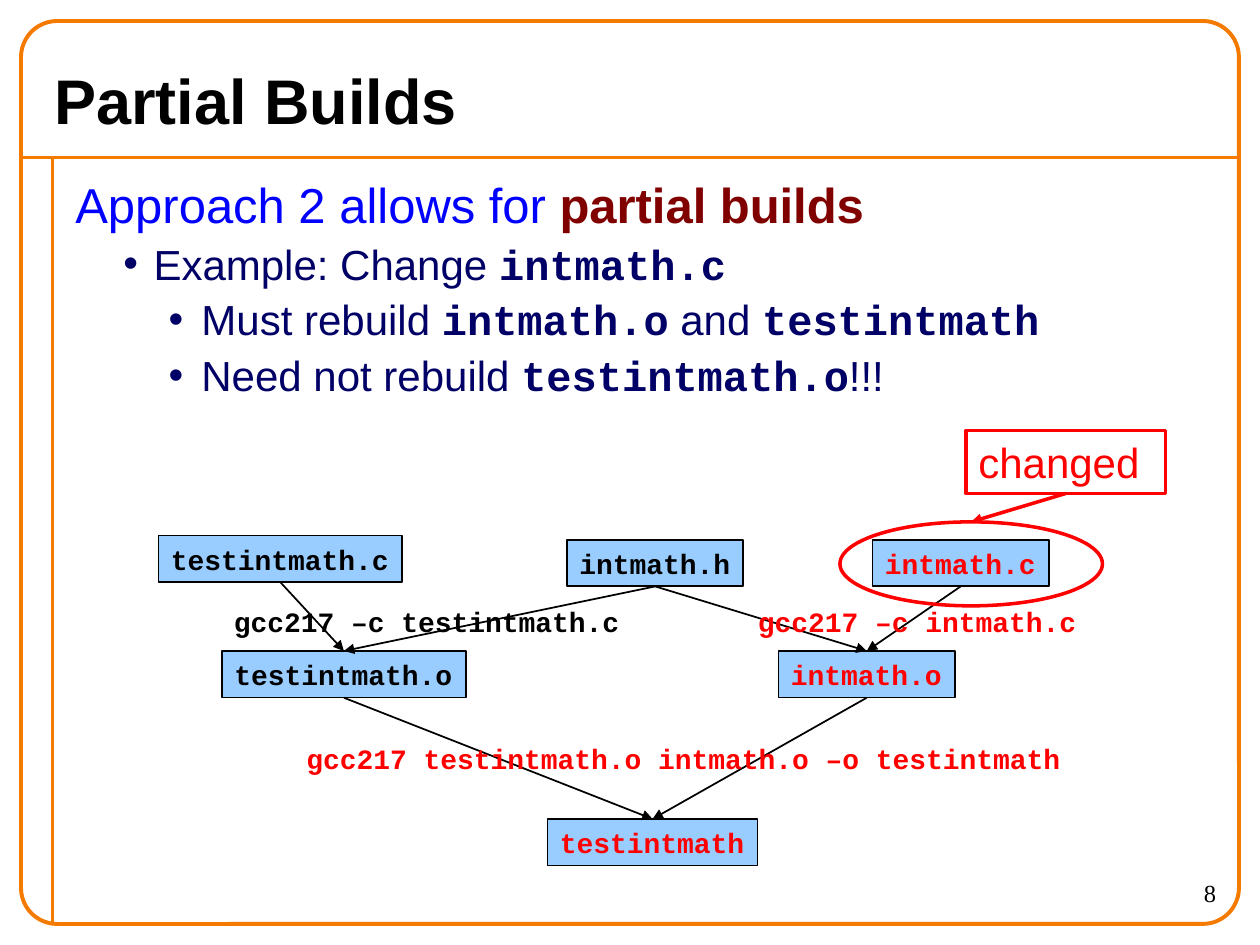
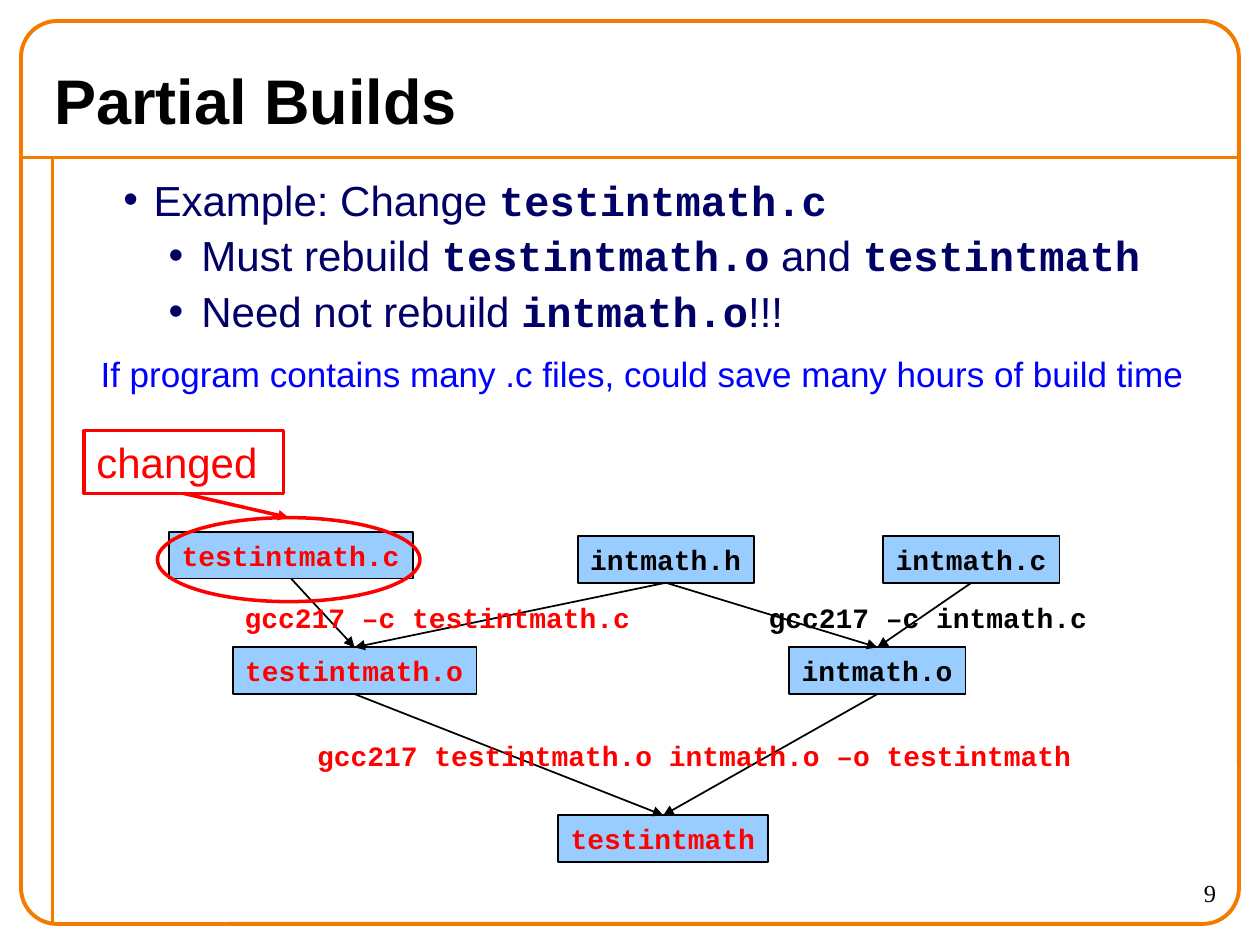
from dataclasses import dataclass, field

import pptx
import pptx.dml.color
import pptx.enum.shapes
import pptx.enum.text
import pptx.oxml
import pptx.oxml.ns
import pptx.util
from lxml import etree

COLUMNS, ROWS = 120, 90
SLIDE_WIDTH, SLIDE_HEIGHT = pptx.util.Inches(10), pptx.util.Inches(7.5)
SHAPES = pptx.enum.shapes.MSO_SHAPE
ALIGN = pptx.enum.text.PP_ALIGN


@dataclass(frozen=True)
class Theme:
    black: str = "000000"
    frame: str = "F47A00"
    blue: str = "0000FF"
    navy: str = "000066"
    maroon: str = "800000"
    red: str = "FF0000"
    node_fill: str = "99CCFF"
    sans: str = "Arial"
    mono: str = "Courier New"
    serif: str = "Times New Roman"
    title_size: int = 36
    lead_size: int = 28
    body_size: int = 24
    remark_size: int = 20
    code_size: int = 16
    number_size: int = 14
    thin: float = 1
    strong: float = 2
    frame_line: float = 2.25


THEME = Theme()


@dataclass(frozen=True)
class Style:
    size: int
    color: str
    font: str = THEME.sans
    bold: bool = False


TITLE = Style(THEME.title_size, THEME.black, bold=True)
LEAD = Style(THEME.lead_size, THEME.blue)
KEY = Style(THEME.lead_size, THEME.maroon, bold=True)
BODY = Style(THEME.body_size, THEME.navy)
CODE = Style(THEME.body_size, THEME.navy, THEME.mono, True)
REMARK = Style(THEME.remark_size, THEME.blue)
CHANGED = Style(THEME.body_size, THEME.red)
NUMBER = Style(THEME.number_size, THEME.black, THEME.serif)


@dataclass(frozen=True)
class Area:
    """A rectangle in grid columns and rows."""
    left: float
    top: float
    width: float
    height: float

    @property
    def top_centre(self) -> tuple[float, float]:
        return self.left + self.width / 2, self.top

    @property
    def bottom_centre(self) -> tuple[float, float]:
        return self.left + self.width / 2, self.top + self.height


@dataclass(frozen=True)
class Line:
    level: int
    runs: list[tuple[str, Style]]


@dataclass(frozen=True)
class FileNode:
    name: str
    centre: float
    top: float

    def area(self, shift: tuple[float, float]) -> Area:
        """Fit the box to the fixed-width name, 1.6 columns a letter."""
        width = 2.4 + 1.6 * len(self.name)
        return Area(self.centre - width / 2 + shift[0], self.top + shift[1], width, 4.45)


@dataclass(frozen=True)
class Command:
    text: str
    left: float
    top: float
    width: float


@dataclass(frozen=True)
class BuildSlide:
    number: int
    lines: list[Line]
    rebuilt: set[str]
    note_left: float
    ring: Area
    shift: tuple[float, float] = (0, 0)
    remark: str = ""
    title: str = field(default="Partial Builds")


NODES = [
    FileNode("intmath.h", 62.4, 51.4),
    FileNode("intmath.c", 91.5, 51.4),
    FileNode("testintmath.c", 26.7, 51),
    FileNode("testintmath", 62.15, 78),
    FileNode("testintmath.o", 32.75, 62),
    FileNode("intmath.o", 82.55, 62),
]
DEPENDENCIES = [
    ("intmath.h", "testintmath.o"),
    ("intmath.h", "intmath.o"),
    ("testintmath.c", "testintmath.o"),
    ("intmath.c", "intmath.o"),
    ("testintmath.o", "testintmath"),
    ("intmath.o", "testintmath"),
]
COMMANDS = {
    "testintmath.o": Command("gcc217 –c testintmath.c", 21.1, 57.6, 41),
    "intmath.o": Command("gcc217 –c intmath.c", 71, 57.6, 35),
    "testintmath": Command("gcc217 testintmath.o intmath.o –o testintmath", 28, 70.7, 80),
}


def change_example(changed: str, object_file: str, untouched: str) -> list[Line]:
    return [
        Line(1, [("Example: Change ", BODY), (changed, CODE)]),
        Line(2, [("Must rebuild ", BODY), (object_file, CODE),
                 (" and ", BODY), ("testintmath", CODE)]),
        Line(2, [("Need not rebuild ", BODY), (untouched, CODE), ("!!!", BODY)]),
    ]


BUILD_SLIDES = [
    BuildSlide(
        number=8,
        lines=[Line(0, [("Approach 2 allows for ", LEAD), ("partial builds", KEY)]),
               *change_example("intmath.c", "intmath.o", "testintmath.o")],
        rebuilt={"intmath.c", "intmath.o", "testintmath"},
        note_left=92,
        ring=Area(80, 49.7, 25, 8),
    ),
    BuildSlide(
        number=9,
        lines=change_example("testintmath.c", "testintmath.o", "intmath.o"),
        rebuilt={"testintmath.c", "testintmath.o", "testintmath"},
        note_left=8,
        ring=Area(15, 49.3, 25, 8),
        shift=(1.02, -0.35),
        remark="If program contains many .c files, could save many hours of build time",
    ),
]


def across(columns: float) -> int:
    return round(SLIDE_WIDTH * columns / COLUMNS)


def down(rows: float) -> int:
    return round(SLIDE_HEIGHT * rows / ROWS)


def place(area: Area) -> tuple[int, int, int, int]:
    return across(area.left), down(area.top), across(area.width), down(area.height)


def rgb(color: str) -> pptx.dml.color.RGBColor:
    return pptx.dml.color.RGBColor.from_string(color)


def format_run(run, style: Style) -> None:
    run.font.size = pptx.util.Pt(style.size)
    run.font.name = style.font
    run.font.bold = style.bold
    run.font.color.rgb = rgb(style.color)


def write(shape, text: str, style: Style, wrap: bool = True, align=ALIGN.LEFT) -> None:
    shape.text_frame.text = text
    shape.text_frame.word_wrap = wrap
    paragraph = shape.text_frame.paragraphs[0]
    paragraph.alignment = align
    format_run(paragraph.runs[0], style)


def add_text(slide, area: Area, text: str, style: Style, wrap: bool = True, align=ALIGN.LEFT):
    box = slide.shapes.add_textbox(*place(area))
    write(box, text, style, wrap, align)
    return box


def add_outline(slide, kind, area: Area, color: str, weight: float, fill: str = ""):
    shape = slide.shapes.add_shape(kind, *place(area))
    shape.shadow.inherit = False
    if fill:
        shape.fill.solid()
        shape.fill.fore_color.rgb = rgb(fill)
    else:
        shape.fill.background()
    shape.line.color.rgb = rgb(color)
    shape.line.width = pptx.util.Pt(weight)
    return shape


def add_line(slide, start: tuple[float, float], end: tuple[float, float],
             color: str, weight: float, arrow: bool = True) -> None:
    connector = slide.shapes.add_connector(
        pptx.enum.shapes.MSO_CONNECTOR.STRAIGHT,
        across(start[0]), down(start[1]), across(end[0]), down(end[1]))
    connector.line.color.rgb = rgb(color)
    connector.line.width = pptx.util.Pt(weight)
    properties = connector._element.spPr
    if arrow:
        outline = properties.find(pptx.oxml.ns.qn("a:ln"))
        etree.SubElement(outline, pptx.oxml.ns.qn("a:tailEnd"), type="triangle")
    etree.SubElement(properties, pptx.oxml.ns.qn("a:effectLst"))


def add_bullet(paragraph, level: int) -> None:
    margin, indent = {1: (0.62, -0.24), 2: (1, -0.26)}[level]
    properties = paragraph._p.get_or_add_pPr()
    properties.set("marL", str(pptx.util.Inches(margin)))
    properties.set("indent", str(pptx.util.Inches(indent)))
    etree.SubElement(properties, pptx.oxml.ns.qn("a:buFont"), typeface=THEME.sans)
    etree.SubElement(properties, pptx.oxml.ns.qn("a:buChar"), char="•")


def add_body(slide, lines: list[Line]) -> None:
    frame = slide.shapes.add_textbox(*place(Area(6, 16, 111, 72))).text_frame
    frame.word_wrap = True
    for index, line in enumerate(lines):
        paragraph = frame.add_paragraph() if index else frame.paragraphs[0]
        if line.level:
            add_bullet(paragraph, line.level)
            paragraph.level = line.level
        if index:
            paragraph.space_before = pptx.util.Pt(3)
        for text, style in line.runs:
            run = paragraph.add_run()
            run.text = text
            format_run(run, style)


def add_frame(slide, title: str, number: int) -> None:
    """Draw the border, rules, title and slide number that all slides share."""
    for start, end in [((2, 15), (118, 15)), ((5, 15), (5, 88))]:
        add_line(slide, start, end, THEME.frame, THEME.frame_line, arrow=False)
    border = add_outline(slide, SHAPES.ROUNDED_RECTANGLE, Area(2, 2, 116, 86),
                         THEME.frame, THEME.frame_line)
    border.adjustments[0] = 0.04
    add_text(slide, Area(105, 83, 12, 5), str(number), NUMBER, align=ALIGN.RIGHT)
    heading = add_text(slide, Area(4, 5, 112, 9), title, TITLE)
    heading.text_frame.vertical_anchor = pptx.enum.text.MSO_ANCHOR.MIDDLE


def add_diagram(slide, content: BuildSlide) -> None:
    def code_style(name: str) -> Style:
        color = THEME.red if name in content.rebuilt else THEME.black
        return Style(THEME.code_size, color, THEME.mono, True)

    areas = {node.name: node.area(content.shift) for node in NODES}
    for name, area in areas.items():
        box = add_outline(slide, SHAPES.RECTANGLE, area, THEME.black, THEME.thin, THEME.node_fill)
        write(box, name, code_style(name), wrap=False)
    for source, target in DEPENDENCIES:
        add_line(slide, areas[source].bottom_centre, areas[target].top_centre,
                 THEME.black, THEME.thin)
    for target, command in COMMANDS.items():
        area = Area(command.left + content.shift[0], command.top + content.shift[1],
                    command.width, 5)
        label = add_text(slide, area, command.text, code_style(target))
        label.text_frame.paragraphs[0].line_spacing = 0.8


def add_change_note(slide, content: BuildSlide) -> None:
    note = Area(content.note_left, 41, 19, 6)
    add_outline(slide, SHAPES.OVAL, content.ring, THEME.red, THEME.strong)
    box = add_outline(slide, SHAPES.RECTANGLE, note, THEME.red, THEME.strong)
    write(box, "changed", CHANGED)
    add_line(slide, note.bottom_centre, content.ring.top_centre, THEME.red, THEME.strong)


def main() -> None:
    presentation = pptx.Presentation()
    presentation.slide_width, presentation.slide_height = SLIDE_WIDTH, SLIDE_HEIGHT
    for content in BUILD_SLIDES:
        slide = presentation.slides.add_slide(presentation.slide_layouts[6])
        add_frame(slide, content.title, content.number)
        add_body(slide, content.lines)
        if content.remark:
            add_text(slide, Area(8.4, 33, 105.6, 5.25), content.remark, REMARK, wrap=False)
        add_diagram(slide, content)
        add_change_note(slide, content)
    presentation.save("out.pptx")


if __name__ == "__main__":
    main()
